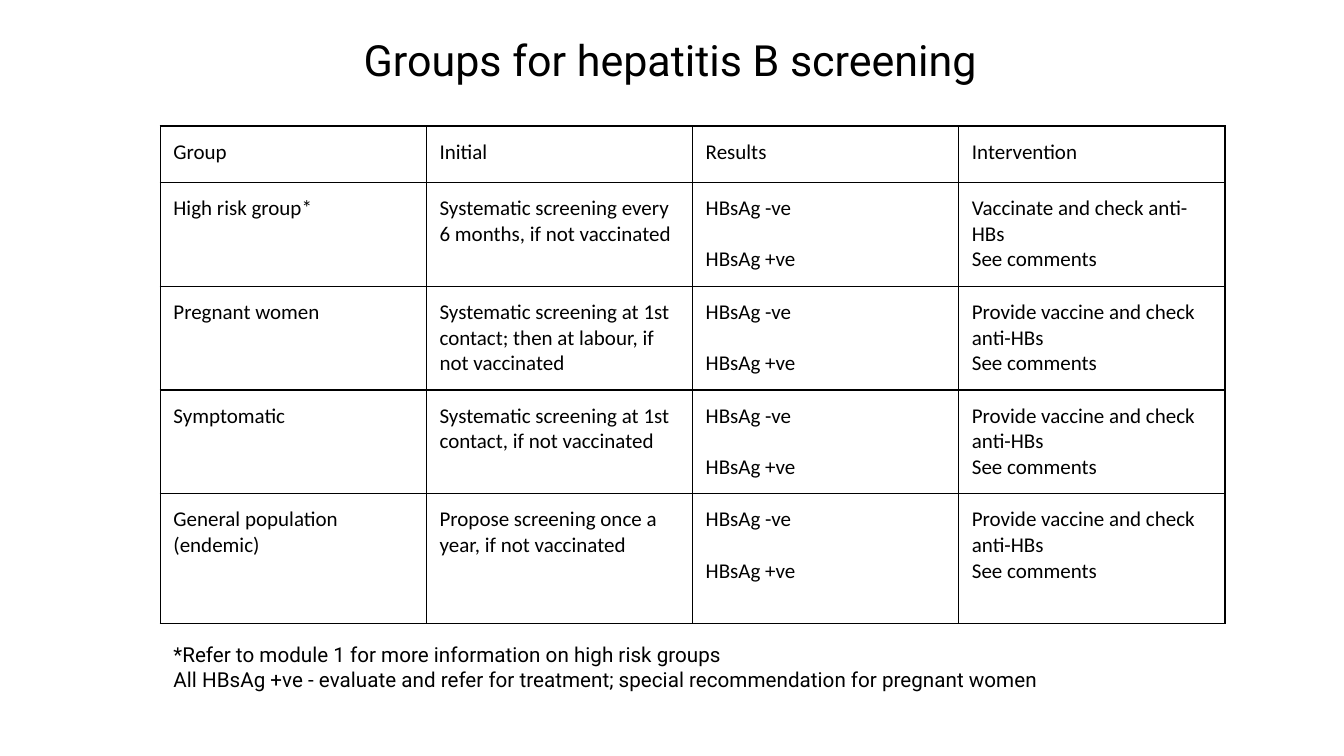
from dataclasses import dataclass

from lxml import etree
from pptx import Presentation
from pptx import util as u
from pptx.dml.color import RGBColor
from pptx.enum import text
from pptx.oxml import ns


@dataclass(frozen=True)
class Theme:
    ink: str = "000000"
    background: str = "FFFFFF"
    text_font: str = "Roboto"
    table_font: str = "Calibri"
    title_size: float = 30.7
    note_size: float = 14.7
    table_size: float = 15
    result_gap: float = 18.3
    border_width: float = 1
    inset: float = 0.13


class SlideBuilder:
    def __init__(self, presentation, theme):
        self.theme = theme
        self.slide = presentation.slides.add_slide(presentation.slide_layouts[6])
        fill = self.slide.background.fill
        fill.solid()
        fill.fore_color.rgb = RGBColor.from_string(theme.background)

    def set_margins(self, target):
        for side in ("left", "top", "right", "bottom"):
            setattr(target, f"margin_{side}", u.Inches(self.theme.inset))

    def fill_text(self, frame, lines, font, size, align=text.PP_ALIGN.LEFT, gap=0):
        formats = {"name": font, "size": u.Pt(size), "bold": False}
        for index, line in enumerate(lines):
            paragraph = frame.paragraphs[0] if index == 0 else frame.add_paragraph()
            paragraph.alignment = align
            if index:
                paragraph.space_before = u.Pt(gap)
            run = paragraph.add_run()
            run.text = line
            for name, value in formats.items():
                setattr(run.font, name, value)
            run.font.color.rgb = RGBColor.from_string(self.theme.ink)

    def add_text(self, box, lines, size, align=text.PP_ALIGN.LEFT):
        frame = self.slide.shapes.add_textbox(*map(u.Inches, box)).text_frame
        frame.word_wrap = True
        frame.vertical_anchor = text.MSO_ANCHOR.TOP
        self.set_margins(frame)
        self.fill_text(frame, lines, self.theme.text_font, size, align)

    def add_borders(self, cell):
        properties = cell._tc.get_or_add_tcPr()
        for side in ("lnL", "lnR", "lnT", "lnB"):
            line = etree.SubElement(properties, ns.qn(f"a:{side}"))
            line.set("w", str(u.Pt(self.theme.border_width)))
            fill = etree.SubElement(line, ns.qn("a:solidFill"))
            etree.SubElement(fill, ns.qn("a:srgbClr")).set("val", self.theme.ink)

    def add_table(self, left, top, column_width, row_heights, rows):
        columns = len(rows[0])
        box = (left, top, columns * column_width, sum(row_heights))
        table = self.slide.shapes.add_table(
            len(rows), columns, *map(u.Inches, box)
        ).table
        table.first_row = False
        table.horz_banding = False
        for column in table.columns:
            column.width = u.Inches(column_width)
        for row, height, contents in zip(table.rows, row_heights, rows):
            row.height = u.Inches(height)
            for cell, lines in zip(row.cells, contents):
                self.set_margins(cell)
                self.add_borders(cell)
                cell.fill.background()
                gap = self.theme.result_gap if lines == RESULTS else 0
                self.fill_text(
                    cell.text_frame, lines, self.theme.table_font,
                    self.theme.table_size, gap=gap,
                )


RESULTS = ["HBsAg -ve", "HBsAg +ve"]
HEADINGS = ["Group", "Initial", "Results", "Intervention"]
PROVIDE = "Provide vaccine and check anti-HBs"
GROUPS = [
    ("High risk group*", "Systematic screening every 6 months, if not vaccinated",
     "Vaccinate and check anti-HBs"),
    ("Pregnant women",
     "Systematic screening at 1st contact; then at labour, if not vaccinated", PROVIDE),
    ("Symptomatic", "Systematic screening at 1st contact, if not vaccinated", PROVIDE),
    ("General population (endemic)",
     "Propose screening once a year, if not vaccinated", PROVIDE),
]
NOTES = [
    "*Refer to module 1 for more information on high risk groups",
    "All HBsAg +ve - evaluate and refer for treatment; "
    "special recommendation for pregnant women",
]


def main():
    presentation = Presentation()
    presentation.slide_width = u.Inches(13.33)
    presentation.slide_height = u.Inches(7.5)
    theme = Theme()
    builder = SlideBuilder(presentation, theme)
    builder.add_text(
        (0.71, 0.2, 11.88, 0.74), ["Groups for hepatitis B screening"],
        theme.title_size, text.PP_ALIGN.CENTER,
    )
    builder.add_text((1.59, 6.24, 11.01, 0.95), NOTES, theme.note_size)
    rows = [[[heading] for heading in HEADINGS]]
    rows += [
        [[group], [initial], RESULTS, [intervention, "See comments"]]
        for group, initial, intervention in GROUPS
    ]
    builder.add_table(1.59, 1.25, 2.64, [0.56, 1.03, 1.03, 1.03, 1.29], rows)
    presentation.save("out.pptx")


if __name__ == "__main__":
    main()
